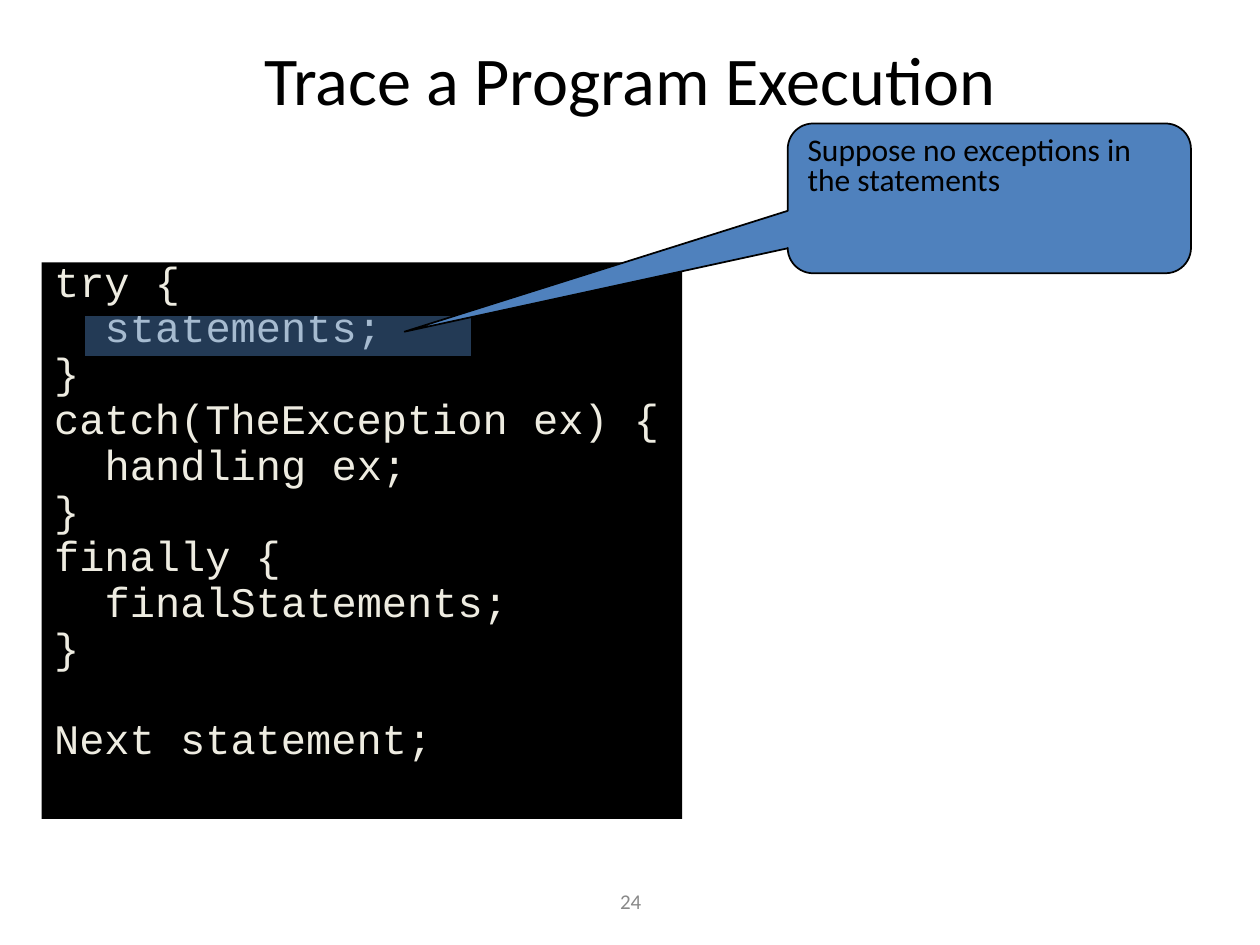
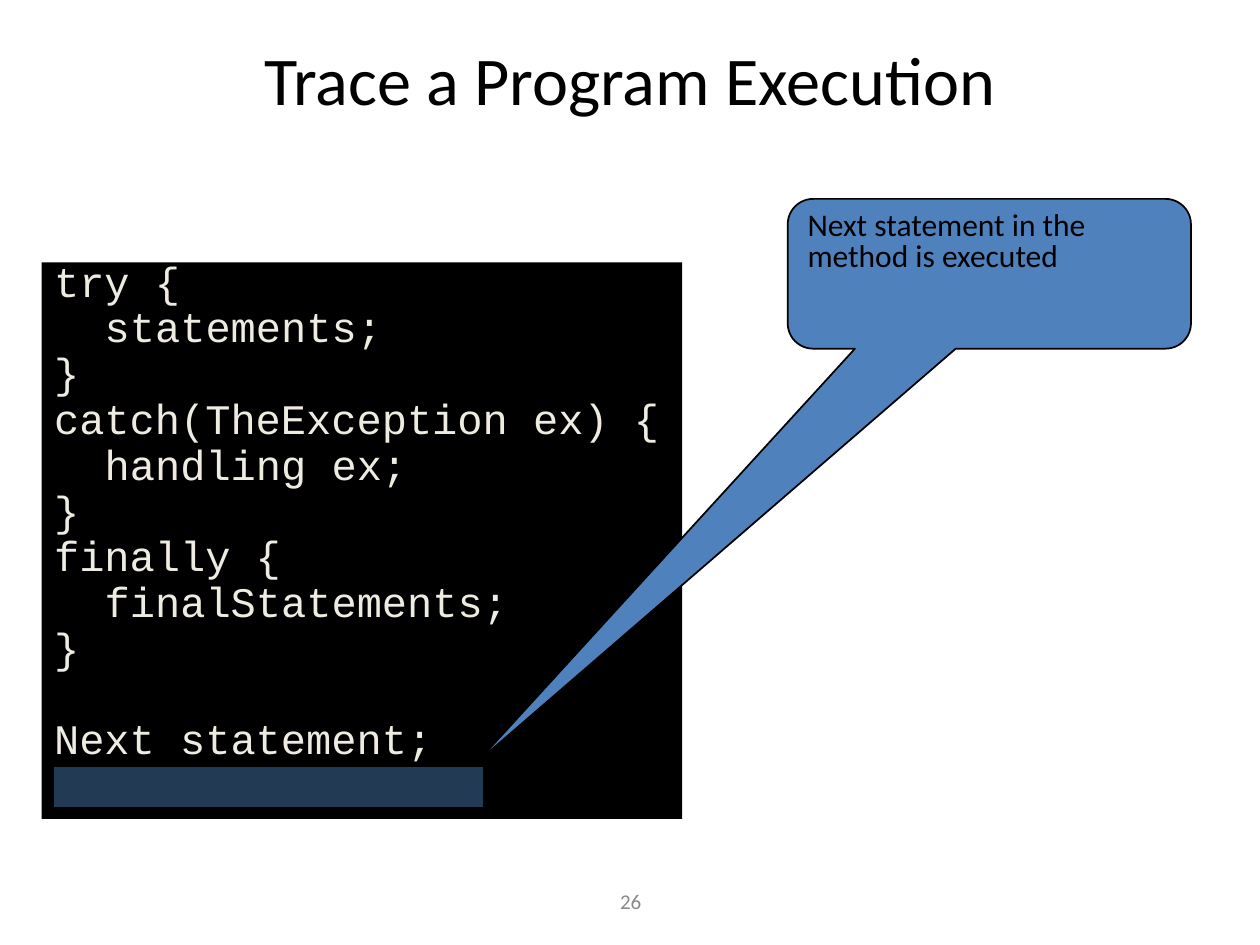
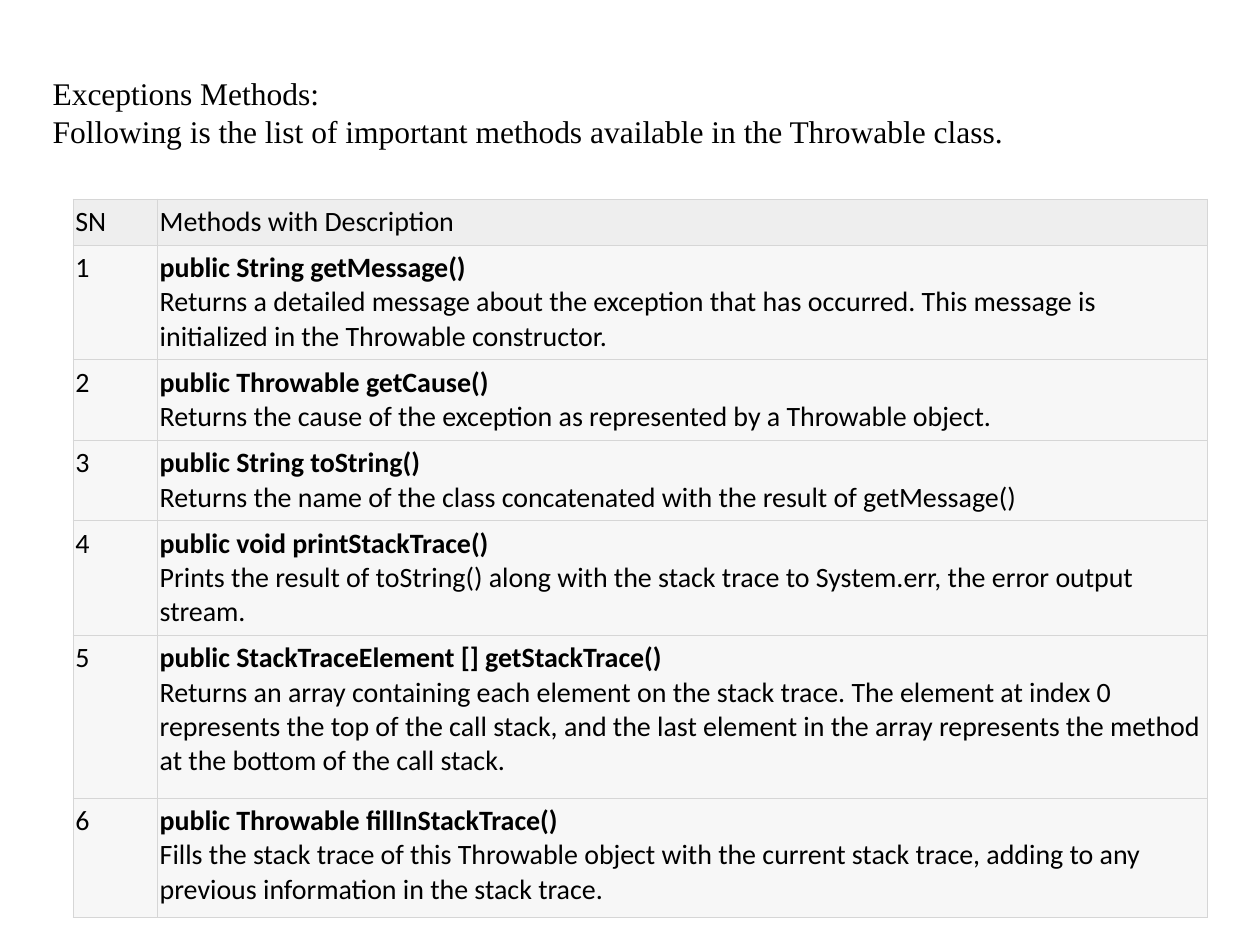
import pptx
import pptx.util
import pptx.dml.color
import pptx.enum.shapes
import pptx.enum.text
import pptx.oxml.ns
from lxml import etree

Cm, Pt = pptx.util.Cm, pptx.util.Pt
ALIGN = pptx.enum.text.PP_ALIGN
ANCHOR = pptx.enum.text.MSO_ANCHOR
SHAPE = pptx.enum.shapes.MSO_SHAPE

COLORS = {"ink": "000000", "paper": "FFFFFF", "code": "EEECE1", "accent": "4F81BD",
          "number": "898989", "header": "EEEEEE", "row": "F7F7F7", "border": "D6D6D6"}

TRACE_TITLE = "Trace a Program Execution"
CODE = [
    (0, "try {"), (1, "statements;"), (0, "}"),
    (0, "catch(TheException ex) {"), (1, "handling ex;"), (0, "}"),
    (0, "finally {"), (1, "finalStatements;"), (0, "}"),
    (0, "Next statement;"),
]
TRACES = [
    {"number": "24", "note": "Suppose no exceptions in the statements", "note_top": 2.49,
     "pointer": (-1.45, 0.89, 0.17), "highlight": (1.7, 6.35, 7.82, 0.84)},
    {"number": "26", "note": "Next statement in the method is executed", "note_top": 4.01,
     "pointer": (-1.27, 3.26, 0.17), "highlight": (1.07, 15.44, 8.69, 0.84)},
]
METHODS_HEADING = ["Exceptions Methods:",
                   "Following is the list of important methods available in the Throwable class."]
METHODS_HEADER = ("SN", "Methods with Description")
METHODS = [
    ("public String getMessage()",
     "Returns a detailed message about the exception that has occurred. "
     "This message is initialized in the Throwable constructor."),
    ("public Throwable getCause()",
     "Returns the cause of the exception as represented by a Throwable object."),
    ("public String toString()",
     "Returns the name of the class concatenated with the result of getMessage()"),
    ("public void printStackTrace()",
     "Prints the result of toString() along with the stack trace to System.err, "
     "the error output stream."),
    ("public StackTraceElement [] getStackTrace()",
     "Returns an array containing each element on the stack trace. The element at index 0 "
     "represents the top of the call stack, and the last element in the array represents "
     "the method at the bottom of the call stack."),
    ("public Throwable fillInStackTrace()",
     "Fills the stack trace of this Throwable object with the current stack trace, "
     "adding to any previous information in the stack trace."),
]
COLUMN_WIDTHS = (1.7, 21.16)
ROW_HEIGHTS = (0.79, 2.13, 1.55, 1.45, 2.13, 3.28, 2.41)
TITLE_AREA = (1.9, 0.84, 21.59, 1.47)
CODE_AREA = (0.84, 5.29, 12.91, 11.22)
NUMBER_AREA = (8.69, 17.65, 8.05, 1.02)
HEADING_AREA = (1.06, 1.5, 23.29, 1.52)
CODE_GAP, CODE_PITCH = 6, 26.1


def rgb(name):
    return pptx.dml.color.RGBColor.from_string(COLORS[name])


def add_xml(parent, tag, **attributes):
    return etree.SubElement(parent, pptx.oxml.ns.qn(tag), attributes)


def lengths(area):
    return [Cm(value) for value in area]


def place(box, area):
    box.left, box.top, box.width, box.height = lengths(area)


def paint(box, color):
    box.fill.solid()
    box.fill.fore_color.rgb = rgb(color)


def style_text(frame, size, color="ink", font="Calibri", align=ALIGN.LEFT):
    for para in frame.paragraphs:
        para.alignment = align
        for span in para.runs:
            span.font.size = Pt(size)
            span.font.name = font
            span.font.color.rgb = rgb(color)


def frame_text(box, text, anchor, margins=(0.25, 0.13)):
    frame = box.text_frame
    frame.text = text
    frame.word_wrap = True
    frame.auto_size = pptx.enum.text.MSO_AUTO_SIZE.NONE
    frame.vertical_anchor = anchor
    frame.margin_left = frame.margin_right = Cm(margins[0])
    frame.margin_top = frame.margin_bottom = Cm(margins[1])
    return frame


def add_panel(page, kind, area):
    panel = page.shapes.add_shape(kind, *lengths(area))
    panel.shadow.inherit = False
    paint(panel, "accent")
    panel.line.color.rgb = rgb("ink")
    panel.line.width = Pt(1)
    return panel


def fill_code(box):
    place(box, CODE_AREA)
    paint(box, "ink")
    frame = frame_text(box, "\n".join(text for _, text in CODE), ANCHOR.TOP)
    style_text(frame, 24, "code", "Courier New")
    for para, (level, _) in zip(frame.paragraphs, CODE):
        para.line_spacing = 0.7
        para.space_before = Pt(CODE_GAP)
        properties = para._p.get_or_add_pPr()
        properties.set("marL", str(Cm(1.02 * level)))
        properties.set("indent", "0")
        add_xml(properties, "a:buNone")
    frame.paragraphs[-1].space_before = Pt(CODE_GAP + CODE_PITCH)


def add_trace(deck, trace):
    page = deck.slides.add_slide(deck.slide_layouts[1])
    title, code = page.placeholders
    place(title, TITLE_AREA)
    style_text(frame_text(title, TRACE_TITLE, ANCHOR.MIDDLE), 39, align=ALIGN.CENTER)
    fill_code(code)

    number = page.shapes.add_textbox(*lengths(NUMBER_AREA))
    style_text(frame_text(number, trace["number"], ANCHOR.MIDDLE), 12, "number",
               align=ALIGN.CENTER)

    highlight = add_panel(page, SHAPE.RECTANGLE, trace["highlight"])
    color = highlight._element.spPr.find(".//" + pptx.oxml.ns.qn("a:srgbClr"))
    add_xml(color, "a:alpha", val="45000")

    note = add_panel(page, SHAPE.ROUNDED_RECTANGULAR_CALLOUT,
                     (15.88, trace["note_top"], 8.13, 3.02))
    for index, value in enumerate(trace["pointer"]):
        note.adjustments[index] = value
    frame = frame_text(note, trace["note"], ANCHOR.TOP)
    style_text(frame, 18)
    frame.paragraphs[0].line_spacing = 0.8
    frame.paragraphs[0].space_before = Pt(4.5)


def style_cell(cell, text, fill):
    cell.text_frame.text = text
    cell.margin_left = cell.margin_right = Cm(0.05)
    cell.margin_top = cell.margin_bottom = Cm(0.12)
    style_text(cell.text_frame, 16)
    properties = cell._tc.get_or_add_tcPr()
    for side in ("a:lnL", "a:lnR", "a:lnT", "a:lnB"):
        line = add_xml(properties, side, w=str(Pt(0.34)))
        add_xml(add_xml(line, "a:solidFill"), "a:srgbClr", val=COLORS["border"])
    paint(cell, fill)


def add_methods(deck):
    page = deck.slides.add_slide(deck.slide_layouts[5])
    heading = page.shapes.title
    place(heading, HEADING_AREA)
    paint(heading, "paper")
    frame = frame_text(heading, "\n".join(METHODS_HEADING), ANCHOR.MIDDLE, (0, 0))
    style_text(frame, 18, font="Times New Roman", align=ALIGN.JUSTIFY)

    rows = [METHODS_HEADER]
    rows += [(str(index), "\v".join(method)) for index, method in enumerate(METHODS, 1)]
    area = (1.47, 4.01, sum(COLUMN_WIDTHS), sum(ROW_HEIGHTS))
    table = page.shapes.add_table(len(rows), len(COLUMN_WIDTHS), *lengths(area)).table
    table.first_row = table.horz_banding = False
    for column, width in zip(table.columns, COLUMN_WIDTHS):
        column.width = Cm(width)
    for index, (row, height, texts) in enumerate(zip(table.rows, ROW_HEIGHTS, rows)):
        row.height = Cm(height)
        for cell, text in zip(row.cells, texts):
            style_cell(cell, text, "row" if index else "header")
        if index:
            row.cells[1].text_frame.paragraphs[0].runs[0].font.bold = True


deck = pptx.Presentation()
deck.slide_width, deck.slide_height = Cm(25.4), Cm(19.05)
for trace in TRACES:
    add_trace(deck, trace)
add_methods(deck)
deck.save("out.pptx")
